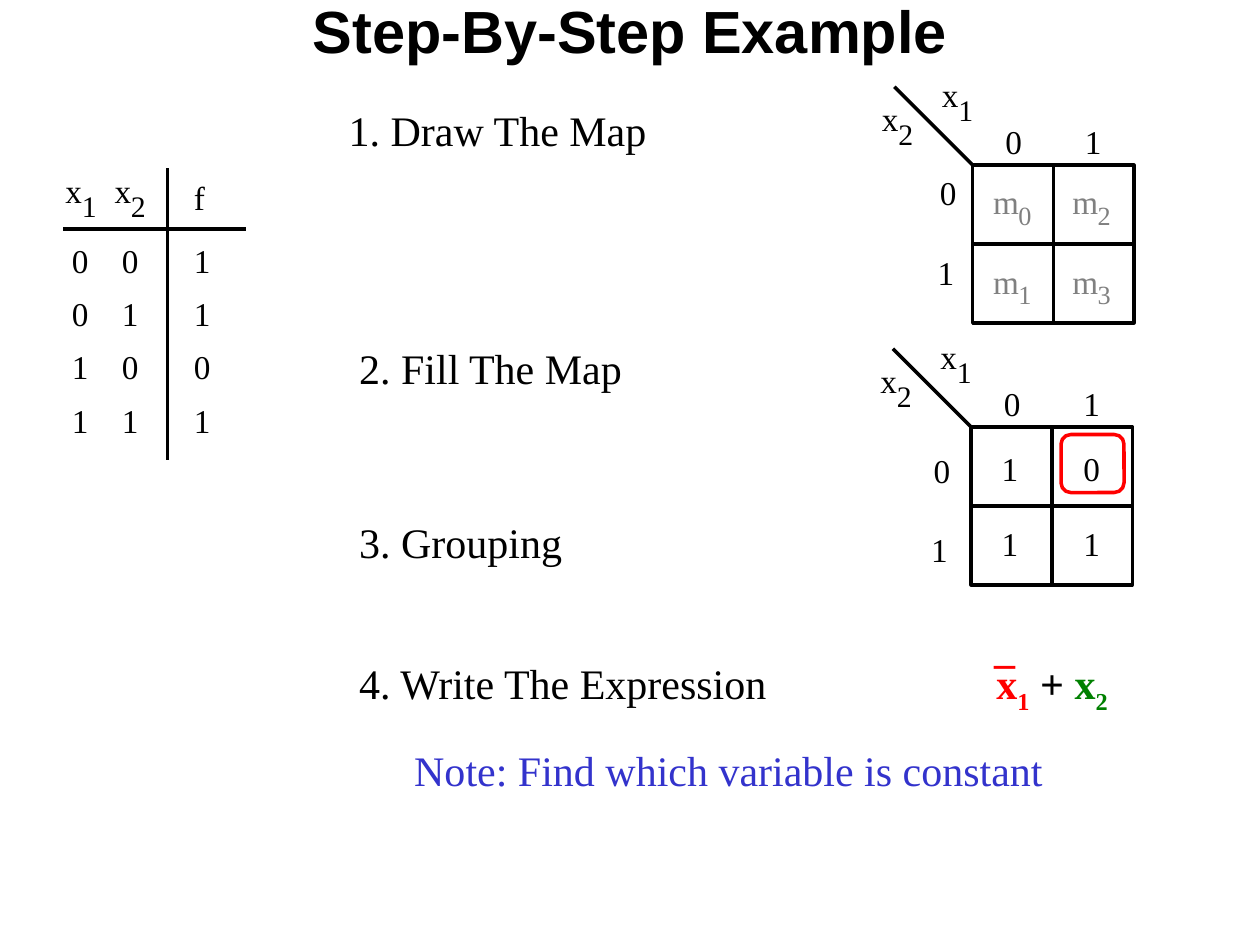
from pptx import Presentation
from pptx.dml.color import RGBColor as RGB
from pptx.enum.shapes import MSO_CONNECTOR as Conn, MSO_SHAPE as Shape
from pptx.enum.text import MSO_ANCHOR as Anchor, MSO_AUTO_SIZE as Fit, PP_ALIGN as Align
from pptx.oxml.ns import qn
from pptx.util import Cm, Pt

BLACK = RGB(0, 0, 0)
WHITE = RGB(255, 255, 255)
GRAY = RGB(128, 128, 128)
RED = RGB(255, 0, 0)
GREEN = RGB(0, 128, 0)
BLUE = RGB(0x33, 0x33, 0xCC)


class Page:
    """Holds the slide and its style."""
    serif = "Times New Roman"
    sans = "Arial"
    thick = Pt(2)

    def __init__(self, deck):
        self.slide = deck.slides.add_slide(deck.slide_layouts[5])
        self.shapes = self.slide.shapes

    def run(self, para, text, size, color=BLACK, face=serif, bold=False, sub=False):
        run = para.add_run()
        run.text = text
        look = {"name": face, "size": Pt(size), "bold": bold}
        for key, value in look.items():
            setattr(run.font, key, value)
        run.font.color.rgb = color
        if sub:
            run.font._element.set("baseline", "-25000")

    def title(self, text):
        head = self.shapes.title
        spot = {"left": 0, "top": Cm(0.2), "width": Cm(25.4), "height": Cm(0.81)}
        for key, value in spot.items():
            setattr(head, key, value)
        head.text_frame.vertical_anchor = Anchor.MIDDLE
        para = head.text_frame.paragraphs[0]
        para.alignment = Align.CENTER
        self.run(para, text, 34, face=self.sans, bold=True)

    def text(self, x, y, w, h, runs, size=24, wrap=False, align=Align.LEFT, inset=True):
        box = self.shapes.add_textbox(Cm(x), Cm(y), Cm(w), Cm(h))
        frame = box.text_frame
        look = {"word_wrap": wrap, "auto_size": Fit.SHAPE_TO_FIT_TEXT}
        if not inset:
            for side in ("left", "top", "right", "bottom"):
                look["margin_" + side] = 0
        for key, value in look.items():
            setattr(frame, key, value)
        para = frame.paragraphs[0]
        para.alignment = align
        for words, style in runs:
            self.run(para, words, size, **style)

    def mark(self, x, y, text, size=19, color=BLACK, w=0.5):
        """A single sign without insets."""
        self.text(x, y, w, size * 0.0425, [(text, {"color": color})], size, inset=False)

    def index(self, x, y, name, size=17, color=BLACK, w=0.46, gap=0.33):
        """A letter with a lowered digit."""
        self.mark(x, y, name[0], color=color, w=w)
        self.mark(x + gap, y + 0.36, name[1], size, color, 0.46)

    def line(self, x1, y1, x2, y2):
        rule = self.shapes.add_connector(Conn.STRAIGHT, Cm(x1), Cm(y1), Cm(x2), Cm(y2))
        rule.line.color.rgb = BLACK
        rule.line.width = self.thick
        props = rule._element.spPr
        props.append(props.makeelement(qn("a:effectLst"), {}))
        return rule

    def box(self, kind, x, y, w, h, color, fill=None):
        box = self.shapes.add_shape(kind, Cm(x), Cm(y), Cm(w), Cm(h))
        box.shadow.inherit = False
        box.line.color.rgb = color
        box.line.width = self.thick
        if fill is None:
            box.fill.background()
        else:
            box.fill.solid()
            box.fill.fore_color.rgb = fill
        return box

    def grid(self, x, y, side):
        """An empty two-by-two map; side is the offset of the row labels."""
        w, h, step = 3.25, 3.18, 1.6
        frame = self.box(Shape.RECTANGLE, x, y, w, h, BLACK, WHITE)
        row = self.line(x + w, y + h / 2, x, y + h / 2)
        row.begin_connect(frame, 3)
        row.end_connect(frame, 1)
        col = self.line(x + w / 2, y + h, x + w / 2, y)
        col.begin_connect(frame, 2)
        col.end_connect(frame, 0)
        self.line(x - 1.58, y - 1.58, x, y)
        self.index(x - 1.83, y - 1.35, "x2")
        self.index(x - 0.62, y - 1.84, "x1")
        for i, bit in enumerate("01"):
            self.mark(x + side[0] - 0.05 * i, y + side[1] + step * i, bit)
            self.mark(x + 0.66 + step * i, y - 0.88, bit)


def main():
    deck = Presentation()
    deck.slide_width, deck.slide_height = Cm(25.4), Cm(19.05)
    page = Page(deck)
    page.title("Step-By-Step Example")

    # Truth table
    page.line(4.95, 4.62, 1.27, 4.62)
    page.line(3.38, 9.27, 3.38, 3.38)
    page.index(1.32, 3.43, "x1")
    page.index(2.31, 3.43, "x2")
    page.mark(3.91, 3.58, "f", w=0.41)
    for i, row in enumerate(("001", "011", "100", "111")):
        for x, bit in zip((1.45, 2.46, 3.91), row):
            page.mark(x, 4.85 + 1.07 * i, bit)

    # Steps
    steps = (
        (6.78, 1.98, 6.58, "1. Draw The Map"),
        (6.99, 6.78, 5.87, "2. Fill The Map"),
        (6.99, 10.29, 4.65, "3. Grouping"),
        (6.99, 13.13, 8.79, "4. Write The Expression"),
    )
    for x, y, w, words in steps:
        page.text(x, y, w, 1.27, [(words, {})])

    # Map of minterms
    x, y = 19.61, 3.33
    page.grid(x, y, (-0.66, 0.15))
    for i, row in enumerate((("m0", "m2"), ("m1", "m3"))):
        for j, name in enumerate(row):
            page.index(x + 0.41 + 1.6 * j, y + 0.33 + 1.6 * i, name, 15, GRAY, 0.76, 0.51)

    # Filled map with its group
    x, y = 19.58, 8.61
    page.grid(x, y, (-0.76, 0.46))
    for i, row in enumerate(("10", "11")):
        for j, bit in enumerate(row):
            page.mark(x + 0.61 + 1.65 * j, y + 0.43 + 1.5 * i, bit, w=0.38)
    page.box(Shape.ROUNDED_RECTANGLE, 21.39, 8.76, 1.27, 1.17, RED)

    # Expression
    red = {"color": RED, "bold": True}
    green = {"color": GREEN, "bold": True}
    terms = [("x", red), ("1", {**red, "sub": True}), (" + ", {"bold": True}),
             ("x", green), ("2", {**green, "sub": True})]
    page.text(18.49, 13.13, 5.44, 1.3, terms, wrap=True, align=Align.CENTER)
    page.text(19.79, 12.4, 0.84, 1.3, [("_", red)], wrap=True)

    # Note
    note = "Note: Find which variable is constant"
    page.text(8.1, 14.88, 13.31, 1.27, [(note, {"color": BLUE})])

    deck.save("out.pptx")


if __name__ == "__main__":
    main()
